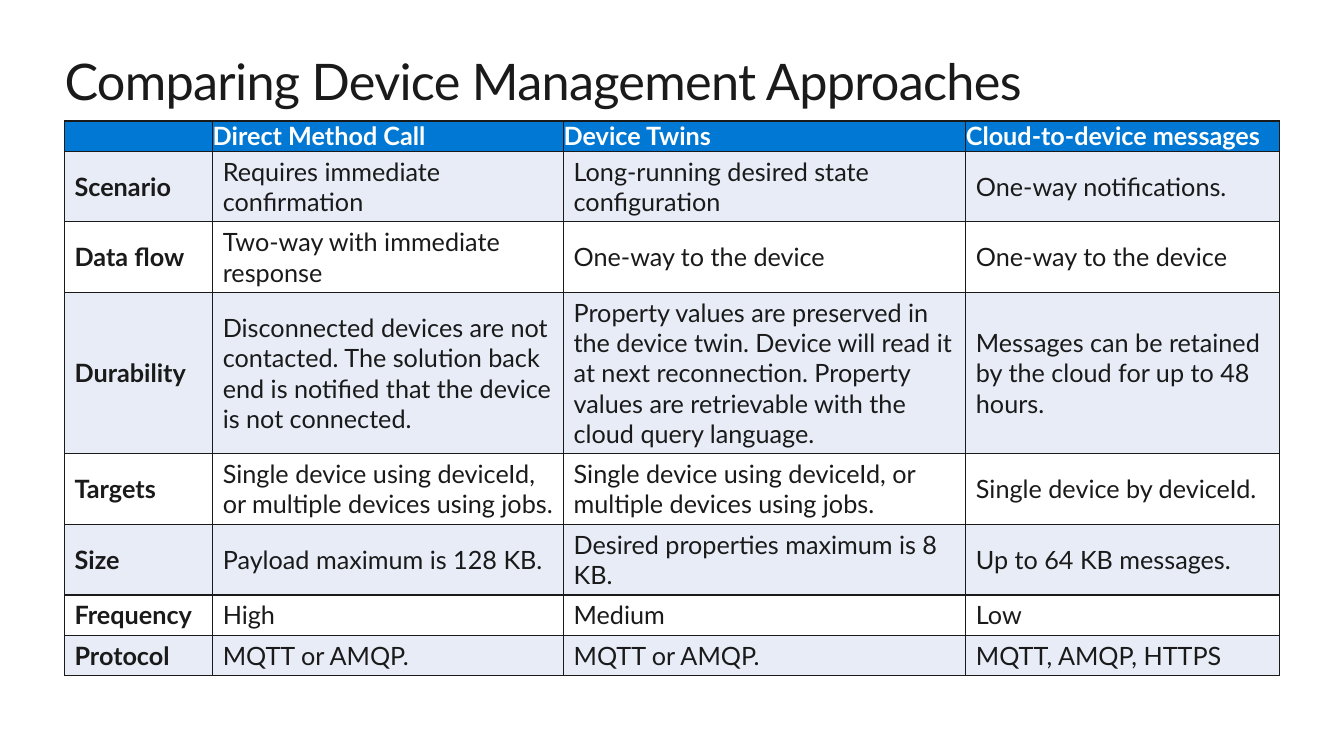
"""Build a slide that compares device management approaches in a table."""
from lxml.etree import SubElement
from pptx import Presentation
from pptx.dml.color import RGBColor
from pptx.enum.text import MSO_ANCHOR, PP_ALIGN
from pptx.oxml.ns import qn
from pptx.util import Inches, Pt

INK, BLUE, PALE, WHITE = "1A1A1A", "0078D4", "E7ECF7", "FFFFFF"


def color(target, code):
    target.rgb = RGBColor.from_string(code)


def write(frame, text, size=18, ink=INK, bold=False, inset=None, space=0):
    frame.word_wrap = True
    line = frame.paragraphs[0]
    line.alignment = PP_ALIGN.LEFT
    run = line.add_run()
    run.text = text
    font = run.font
    font.name, font.size, font.bold = "Lato", Pt(size), bold
    color(font.color, ink)
    if space:
        run._r.get_or_add_rPr().set("spc", str(space))
    if inset is not None:
        frame.margin_left = frame.margin_right = inset
        frame.margin_top = frame.margin_bottom = inset


deck = Presentation()
deck.slide_width, deck.slide_height = Inches(13.33), Inches(7.5)
slide = deck.slides.add_slide(deck.slide_layouts[5])
left, width = Inches(0.64), Inches(12.05)

title = slide.shapes.title
title.left, title.top, title.width, title.height = left, Inches(0.5), width, Inches(0.61)
title.text_frame.vertical_anchor = MSO_ANCHOR.TOP
write(title.text_frame, "Comparing Device Management Approaches", size=36, inset=0, space=-50)

rows = [
    ["", "Direct Method Call", "Device Twins", "Cloud-to-device messages"],
    ["Scenario", "Requires immediate confirmation",
     "Long-running desired state configuration", "One-way notifications."],
    ["Data flow", "Two-way with immediate response",
     "One-way to the device", "One-way to the device"],
    ["Durability",
     "Disconnected devices are not contacted. The solution back end is notified "
     "that the device is not connected.",
     "Property values are preserved in the device twin. Device will read it at next "
     "reconnection. Property values are retrievable with the cloud query language.",
     "Messages can be retained by the cloud for up to 48 hours."],
    ["Targets", "Single device using deviceId, or multiple devices using jobs.",
     "Single device using deviceId, or multiple devices using jobs.",
     "Single device by deviceId."],
    ["Size", "Payload maximum is 128 KB.",
     "Desired properties maximum is 8 KB.", "Up to 64 KB messages."],
    ["Frequency", "High", "Medium", "Low"],
    ["Protocol", "MQTT or AMQP.", "MQTT or AMQP.", "MQTT, AMQP, HTTPS"],
]
spans = [1.47, 3.48, 3.99, 3.11]
lines = [1, 2, 2, 5, 2, 2, 1, 1]

table = slide.shapes.add_table(
    len(rows), len(spans), left, Inches(1.2), width, Inches(5.5)).table
for col, span in zip(table.columns, spans):
    col.width = Inches(span)

for r, (row, count) in enumerate(zip(rows, lines)):
    head = r == 0
    table.rows[r].height = Inches(0.3 * count + (0 if head else 0.1))
    for c, text in enumerate(row):
        cell = table.cell(r, c)
        props = cell._tc.get_or_add_tcPr()
        for side in ("a:lnL", "a:lnR", "a:lnT", "a:lnB"):
            edge = SubElement(props, qn(side), w=str(Pt(1)))
            fill = SubElement(edge, qn("a:solidFill"))
            SubElement(fill, qn("a:srgbClr"), val=INK)
        cell.fill.solid()
        color(cell.fill.fore_color, BLUE if head else PALE if r % 2 else WHITE)
        cell.vertical_anchor = MSO_ANCHOR.MIDDLE
        if head:
            cell.margin_left = cell.margin_right = 0
            cell.margin_top = cell.margin_bottom = 0
        write(cell.text_frame, text, ink=WHITE if head else INK, bold=head or c == 0)

deck.save("out.pptx")
